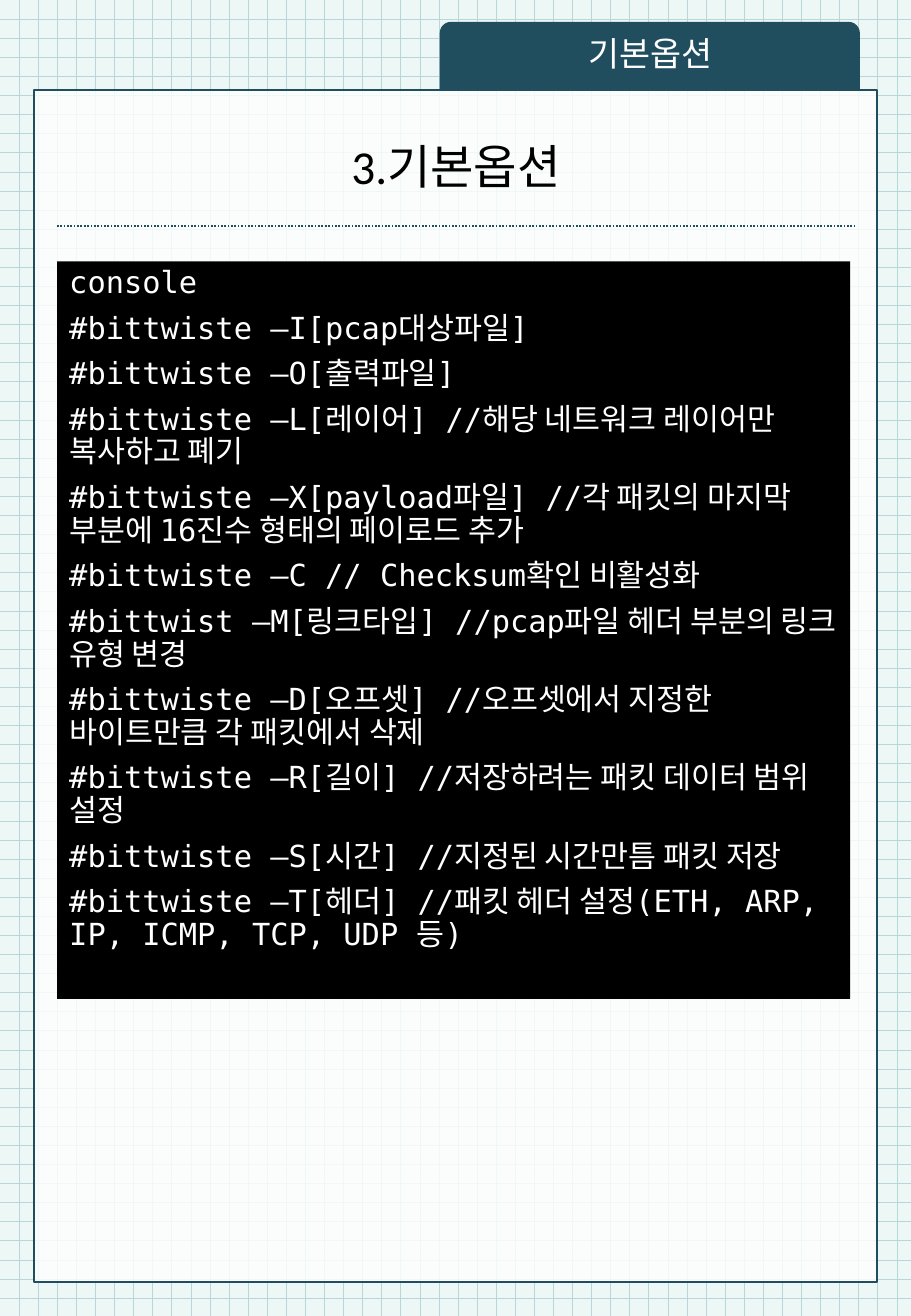
from dataclasses import dataclass

from lxml.etree import SubElement as Sub
from pptx import Presentation
from pptx.dml.color import RGBColor
from pptx.enum.dml import MSO_LINE as Dash, MSO_PATTERN as Pattern
from pptx.enum.shapes import MSO_CONNECTOR as Link, MSO_SHAPE as Kind
from pptx.enum.text import MSO_ANCHOR as Anchor, MSO_AUTO_SIZE as Fit, PP_ALIGN as Align
from pptx.oxml.ns import qn
from pptx.shapes.autoshape import Shape
from pptx.slide import Slide
from pptx.util import Inches, Pt

TEAL = RGBColor(0x20, 0x4E, 0x5F)
GRID = RGBColor(0xB7, 0xD7, 0xD8)
MINT = RGBColor(0xED, 0xF7, 0xF5)
WHITE = RGBColor(0xFF, 0xFF, 0xFF)
BLACK = RGBColor(0x00, 0x00, 0x00)

LINES = [
    "console",
    "#bittwiste –I[pcap대상파일]",
    "#bittwiste –O[출력파일]",
    "#bittwiste –L[레이어] //해당 네트워크 레이어만 복사하고 폐기",
    "#bittwiste –X[payload파일] //각 패킷의 마지막 부분에 16진수 형태의 페이로드 추가",
    "#bittwiste –C // Checksum확인 비활성화",
    "#bittwist –M[링크타입] //pcap파일 헤더 부분의 링크 유형 변경",
    "#bittwiste –D[오프셋] //오프셋에서 지정한 바이트만큼 각 패킷에서 삭제",
    "#bittwiste –R[길이] //저장하려는 패킷 데이터 범위 설정",
    "#bittwiste –S[시간] //지정된 시간만틈 패킷 저장",
    "#bittwiste –T[헤더] //패킷 헤더 설정(ETH, ARP, IP, ICMP, TCP, UDP 등)",
]


@dataclass(frozen=True)
class Box:
    left: float
    top: float
    width: float
    height: float

    def place(self) -> tuple[Inches, ...]:
        return tuple(map(Inches, (self.left, self.top, self.width, self.height)))


@dataclass(frozen=True)
class Style:
    font: str
    size: int
    color: RGBColor
    align: Align
    anchor: Anchor
    before: float


TITLE = Style("Calibri", 28, BLACK, Align.CENTER, Anchor.MIDDLE, 0)
LABEL = Style("Noto Sans CJK KR", 20, WHITE, Align.CENTER, Anchor.MIDDLE, 7.5)
CODE = Style("DejaVu Sans Mono", 18, WHITE, Align.LEFT, Anchor.TOP, 7.5)


def add_panel(slide: Slide, kind: Kind, box: Box, color: RGBColor) -> Shape:
    panel = slide.shapes.add_shape(kind, *box.place())
    panel.shadow.inherit = False
    panel.fill.solid()
    panel.fill.fore_color.rgb = color
    panel.line.fill.background()
    return panel


def add_rule(slide: Slide, left: float, right: float, top: float) -> None:
    rule = slide.shapes.add_connector(
        Link.STRAIGHT, Inches(left), Inches(top), Inches(right), Inches(top)
    )
    rule.line.color.rgb = TEAL
    rule.line.width = Pt(1)
    rule.line.dash_style = Dash.ROUND_DOT
    Sub(rule._element.spPr, qn("a:effectLst"))


def set_text(shape: Shape, lines: list[str], style: Style) -> None:
    frame = shape.text_frame
    frame.text = "\n".join(lines)
    frame.word_wrap = True
    frame.auto_size = Fit.NONE
    frame.vertical_anchor = style.anchor
    for para in frame.paragraphs:
        props = para._p.get_or_add_pPr()
        props.set("marL", "0")
        props.set("indent", "0")
        Sub(props, qn("a:buNone"))
        para.alignment = style.align
        para.line_spacing = 0.9
        para.space_before = Pt(style.before)
        para.font.name = style.font
        para.font.size = Pt(style.size)
        para.font.color.rgb = style.color


def move_front(slide: Slide, shape: Shape, box: Box) -> None:
    """Place a placeholder and raise it above the shapes drawn so far."""
    shape.left, shape.top, shape.width, shape.height = box.place()
    slide.shapes._spTree.append(shape._element)


def main() -> None:
    deck = Presentation()
    deck.slide_width, deck.slide_height = Inches(7.5), Inches(10.83)
    slide = deck.slides.add_slide(deck.slide_layouts[1])
    title, body = slide.placeholders

    back = slide.background.fill
    back.patterned()
    back.pattern = Pattern.DOTTED_GRID
    back.fore_color.rgb = GRID
    back.back_color.rgb = MINT

    page = add_panel(slide, Kind.RECTANGLE, Box(0.28, 0.74, 6.94, 9.81), WHITE)
    tint = page._element.spPr.find(qn("a:solidFill"))[0]
    Sub(tint, qn("a:alpha"), val="80000")
    page.line.color.rgb = TEAL
    page.line.width = Pt(1.5)
    add_panel(slide, Kind.ROUND_2_SAME_RECTANGLE, Box(3.62, 0.18, 3.46, 0.56), TEAL)

    move_front(slide, title, Box(0.52, 1.01, 6.47, 0.76))
    set_text(title, ["3.기본옵션"], TITLE)

    label = slide.shapes.add_textbox(*Box(3.74, 0.24, 3.23, 0.44).place())
    set_text(label, ["기본옵션"], LABEL)

    move_front(slide, body, Box(0.47, 2.15, 6.53, 6.07))
    body.fill.solid()
    body.fill.fore_color.rgb = BLACK
    set_text(body, LINES, CODE)

    add_rule(slide, 0.47, 7.03, 1.86)
    deck.save("out.pptx")


if __name__ == "__main__":
    main()
